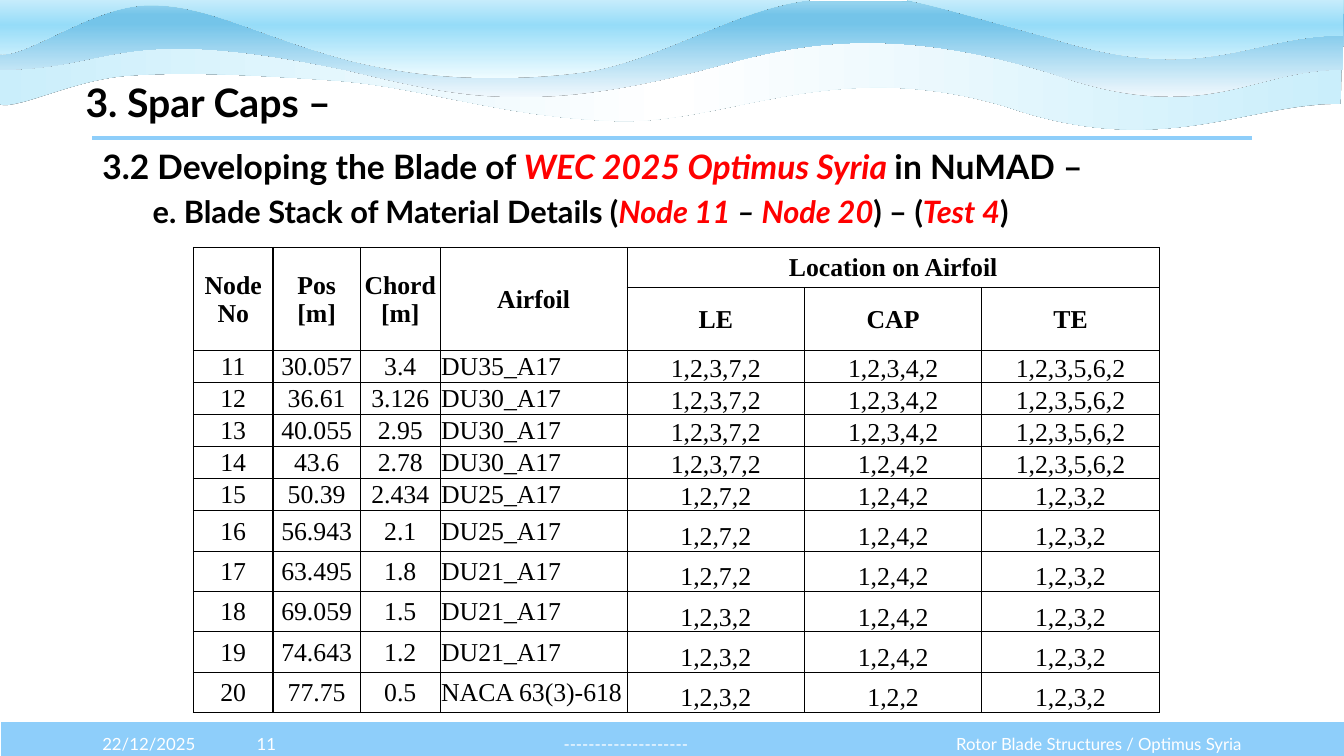
from dataclasses import dataclass

from pptx import Presentation
from pptx import oxml
from pptx.dml.color import RGBColor
from pptx.enum import shapes, text
from pptx.oxml import ns
from pptx.util import Pt


@dataclass(frozen=True)
class Theme:
    """Colours, fonts and type sizes of the slide."""
    sky: str = "8ECEFA"
    ink: str = "000000"
    paper: str = "FFFFFF"
    accent: str = "FF0000"
    sans: str = "Lato"
    serif: str = "Times New Roman"
    title: float = 28
    section: float = 24
    subsection: float = 22
    body: float = 18.4
    footer: float = 12
    back_wave: tuple = ((0, "CAEEFB"), (50, "FFFFFF"), (100, "CAEEFB"))
    middle_wave: tuple = ((0, "F0F8FD"), (74, "74C4E9"), (83, "74C4E9"), (100, "A2D8F0"))
    front_wave: tuple = ((0, "EFFCFF"), (50, "96DCF8"), (100, "FFFFFF"))


THEME = Theme()
MIDDLE, BOTTOM = text.MSO_ANCHOR.MIDDLE, text.MSO_ANCHOR.BOTTOM
LEFT, CENTER, RIGHT = text.PP_ALIGN.LEFT, text.PP_ALIGN.CENTER, text.PP_ALIGN.RIGHT

BACK_CREST = [
    (957.6, 74.2),
    (890.6, 73.4), (829.4, 114.5), (719.3, 76.3),
    (595.4, 38.9), (519.1, 89.3), (439.2, 86.4),
    (359.3, 83.5), (303.1, 62.6), (241.2, 57.6),
    (179.3, 53.3), (131.8, 51.1), (91.4, 54),
    (51.1, 56.9), (10.1, 79.9), (-1.4, 74.2)]
MIDDLE_CREST = [
    (959, 49.7),
    (892.1, 49.7), (861.1, 91.4), (751.7, 52.6),
    (627.1, 13.7), (556.6, 35.3), (508.3, 48.2),
    (380.2, 82.1), (330.5, 69.8), (249.1, 50.4),
    (81.4, 15.1), (82.8, 49.7), (0, 49.7)]
FRONT_CREST = [
    (959, 25.2),
    (892.1, 25.2), (861.1, 61.9), (751.7, 27.4),
    (627.8, -6.5), (641.5, -5), (585.4, -0.7),
    (529.2, 2.9), (470.2, 44.6), (414.7, 51.8),
    (358.6, 59), (305.3, 56.9), (249.8, 43.2),
    (185.8, 25.9), (149, 3.6), (108, 3.6),
    (66.2, 2.9), (15.8, 43.9), (-2.2, 38.2)]
WAVES = [
    (BACK_CREST, [(-2.9, 21.6), (959, 24.5)], (-2.9, 21.6, 961.9, 70.6), 0, THEME.back_wave),
    (MIDDLE_CREST, [(0.7, -0.7), (959.8, 2.2)], (0, -1.4, 959.8, 70.6), 90, THEME.middle_wave),
    (FRONT_CREST, [(0.7, -19.4), (959.8, -17.3)], (-2.2, -20.2, 961.9, 76.3), 90, THEME.front_wave)]

COLUMN_WIDTHS = [56.8, 62.4, 57.1, 133.5, 126.7, 126.7, 126.7]
ROW_HEIGHTS = [28.8, 44.6] + [22.9] * 5 + [28.8] * 5
NODE_HEADS = ["Node\vNo", "Pos\v[m]", "Chord\v[m]", "Airfoil"]
LOCATIONS = ["LE", "CAP", "TE"]
NODES = [
    ("11", "30.057", "3.4", "DU35_A17", "1,2,3,7,2", "1,2,3,4,2", "1,2,3,5,6,2"),
    ("12", "36.61", "3.126", "DU30_A17", "1,2,3,7,2", "1,2,3,4,2", "1,2,3,5,6,2"),
    ("13", "40.055", "2.95", "DU30_A17", "1,2,3,7,2", "1,2,3,4,2", "1,2,3,5,6,2"),
    ("14", "43.6", "2.78", "DU30_A17", "1,2,3,7,2", "1,2,4,2", "1,2,3,5,6,2"),
    ("15", "50.39", "2.434", "DU25_A17", "1,2,7,2", "1,2,4,2", "1,2,3,2"),
    ("16", "56.943", "2.1", "DU25_A17", "1,2,7,2", "1,2,4,2", "1,2,3,2"),
    ("17", "63.495", "1.8", "DU21_A17", "1,2,7,2", "1,2,4,2", "1,2,3,2"),
    ("18", "69.059", "1.5", "DU21_A17", "1,2,3,2", "1,2,4,2", "1,2,3,2"),
    ("19", "74.643", "1.2", "DU21_A17", "1,2,3,2", "1,2,4,2", "1,2,3,2"),
    ("20", "77.75", "0.5", "NACA 63(3)-618", "1,2,3,2", "1,2,2", "1,2,3,2")]


def set_font(font, face, size, color, bold=False):
    """Give a font its face, size, colour and weight."""
    font.name, font.size, font.bold = face, Pt(size), bold
    font.color.rgb = RGBColor.from_string(color)


def add_text_frame(slide, left, top, width, height, anchor=text.MSO_ANCHOR.TOP):
    """Add a wrapping text box and return its frame."""
    frame = slide.shapes.add_textbox(Pt(left), Pt(top), Pt(width), Pt(height)).text_frame
    frame.word_wrap, frame.vertical_anchor = True, anchor
    return frame


def swap(element, markup):
    """Replace an element by the given DrawingML."""
    element.getparent().replace(element, oxml.parse_xml(markup))


def wave_outline(crest, ceiling, box):
    """Return the curved outline turned half round within its box."""
    x0, y0, width, height = box
    marks = [f'<a:pt x="{Pt(x0 + width - x)}" y="{Pt(y0 + height - y)}"/>'
             for x, y in crest + ceiling]
    curves = "".join(f'<a:cubicBezTo>{"".join(marks[i:i + 3])}</a:cubicBezTo>'
                     for i in range(1, len(crest), 3))
    edges = "".join(f"<a:lnTo>{mark}</a:lnTo>" for mark in marks[len(crest):])
    return (f'<a:path {ns.nsdecls("a")} w="{Pt(width)}" h="{Pt(height)}">'
            f"<a:moveTo>{marks[0]}</a:moveTo>{curves}{edges}<a:close/></a:path>")


def add_waves(slide, left, top):
    """Draw the layered waves hanging from the top edge."""
    for crest, ceiling, box, angle, stops in WAVES:
        builder = slide.shapes.build_freeform(*(Pt(v) for v in crest[0]))
        builder.add_line_segments([(Pt(x), Pt(y)) for x, y in crest[3::3] + ceiling])
        wave = builder.convert_to_shape()
        wave.left, wave.top = Pt(left + box[0]), Pt(top + box[1])
        wave.width, wave.height = Pt(box[2]), Pt(box[3])
        wave.rotation = 180
        wave.shadow.inherit = False
        wave.line.fill.background()
        wave.fill.gradient()
        properties = wave._element.spPr
        swap(next(properties.iter(ns.qn("a:path"))), wave_outline(crest, ceiling, box))
        marks = "".join(f'<a:gs pos="{pos * 1000}"><a:srgbClr val="{color}"/></a:gs>'
                        for pos, color in stops)
        swap(properties.find(ns.qn("a:gradFill")),
             f'<a:gradFill {ns.nsdecls("a")} rotWithShape="1"><a:gsLst>{marks}</a:gsLst>'
             f'<a:lin ang="{angle * 60000}" scaled="0"/></a:gradFill>')
        properties.find(ns.qn("a:effectLst")).append(oxml.parse_xml(
            f'<a:outerShdw {ns.nsdecls("a")} blurRad="0" dist="0" dir="0">'
            f'<a:srgbClr val="{THEME.ink}"/></a:outerShdw>'))


def add_footer(slide, left, top, width, height):
    """Draw the footer band with its date, number, centre and title."""
    band = slide.shapes.add_shape(shapes.MSO_SHAPE.RECTANGLE,
                                  Pt(left), Pt(top), Pt(width), Pt(height))
    band.shadow.inherit = False
    band.fill.solid()
    band.fill.fore_color.rgb = RGBColor.from_string(THEME.sky)
    band.line.color.rgb = RGBColor.from_string(THEME.paper)
    band.line.width = Pt(1.5)
    for offset, span, align, words in [
            (66, 87.6, LEFT, "22/12/2025"), (667.4, 226.8, RIGHT, "Rotor Blade Structures / Optimus Syria"),
            (153.6, 73.4, CENTER, "11"), (226.8, 440.6, CENTER, "--------------------")]:
        entry = add_text_frame(slide, left + offset, top + 2, span, height, MIDDLE).paragraphs[0]
        entry.text, entry.alignment = words, align
        set_font(entry.font, THEME.sans, THEME.footer, THEME.paper)


def add_title(slide, left, top, width, height):
    """Place the slide title above its rule."""
    title = add_text_frame(slide, left, top, width, height).paragraphs[0]
    title.text = "3. Spar Caps –"
    set_font(title.font, THEME.sans, THEME.title, THEME.ink, True)
    rule_top = Pt(top + 46)
    rule = slide.shapes.add_connector(shapes.MSO_CONNECTOR.STRAIGHT,
                                      Pt(left + 12), rule_top, Pt(left + 840), rule_top)
    rule.line.color.rgb = RGBColor.from_string(THEME.sky)
    rule.line.width = Pt(3)
    rule._element.spPr.append(oxml.parse_xml(f'<a:effectLst {ns.nsdecls("a")}/>'))


def add_headings(slide, left, top, width, height):
    """Write the section and subsection headings with red emphasis."""
    frame = add_text_frame(slide, left, top, width, height)
    section, subsection = frame.paragraphs[0], frame.add_paragraph()
    subsection.space_before = Pt(4.8)
    subsection._p.get_or_add_pPr().set("marL", str(Pt(36)))
    for heading, size, phrases in [
            (section, THEME.section, [("3.2 Developing the Blade of ", 0, 0),
                                      ("WEC 2025 Optimus Syria ", 1, 1), ("in NuMAD –", 0, 0)]),
            (subsection, THEME.subsection, [("e. Blade Stack of Material Details (", 0, 0),
                                            ("Node 11 ", 1, 1), ("– ", 0, 1), ("Node 20", 1, 1),
                                            (") – (", 0, 0), ("Test 4", 1, 1), (")", 0, 0)])]:
        for words, red, italic in phrases:
            phrase = heading.add_run()
            phrase.text = words
            set_font(phrase.font, THEME.sans, size, THEME.accent if red else THEME.ink, True)
            phrase.font.italic = bool(italic)


def style_cell(cell, bold, align, anchor):
    """Give a table cell its margins, borders and type."""
    cell.margin_left = cell.margin_right = cell.margin_top = Pt(0.72)
    cell.margin_bottom = 0
    cell.vertical_anchor = anchor
    for side in "LRTB":
        cell._tc.get_or_add_tcPr().append(oxml.parse_xml(
            f'<a:ln{side} {ns.nsdecls("a")} w="{Pt(1)}"><a:solidFill>'
            f'<a:srgbClr val="{THEME.ink}"/></a:solidFill></a:ln{side}>'))
    cell.fill.background()
    paragraph = cell.text_frame.paragraphs[0]
    paragraph.alignment = align
    set_font(paragraph.font, THEME.serif, THEME.body, THEME.ink, bold)


def add_node_table(slide, left, top):
    """Build the table of material stacks by node and airfoil location."""
    rows = [NODE_HEADS + ["Location on Airfoil", "", ""], [""] * 4 + LOCATIONS, *NODES]
    table = slide.shapes.add_table(len(rows), len(COLUMN_WIDTHS), Pt(left), Pt(top),
                                   Pt(sum(COLUMN_WIDTHS)), Pt(sum(ROW_HEIGHTS))).table
    table.first_row = table.horz_banding = False
    for column, width in zip(table.columns, COLUMN_WIDTHS):
        column.width = Pt(width)
    for r, (row, height) in enumerate(zip(rows, ROW_HEIGHTS)):
        table.rows[r].height = Pt(height)
        for c, value in enumerate(row):
            cell, is_head = table.cell(r, c), r < 2
            cell.text = value
            style_cell(cell, is_head, LEFT if c == 3 and not is_head else CENTER,
                       BOTTOM if c > 3 and not is_head else MIDDLE)
    for c in range(len(NODE_HEADS)):
        table.cell(0, c).merge(table.cell(1, c))
    table.cell(0, 4).merge(table.cell(0, 6))


def main():
    """Assemble the slide and save it."""
    deck = Presentation()
    deck.slide_width, deck.slide_height = Pt(960), Pt(540)
    slide = deck.slides.add_slide(deck.slide_layouts[6])
    add_waves(slide, 0, 0)
    add_footer(slide, 0, 514.8, 961, 28.8)
    add_title(slide, 54, 52.6, 683.3, 41)
    add_headings(slide, 66, 100.8, 846, 75.6)
    add_node_table(slide, 138.2, 176.8)
    deck.save("out.pptx")


if __name__ == "__main__":
    main()
